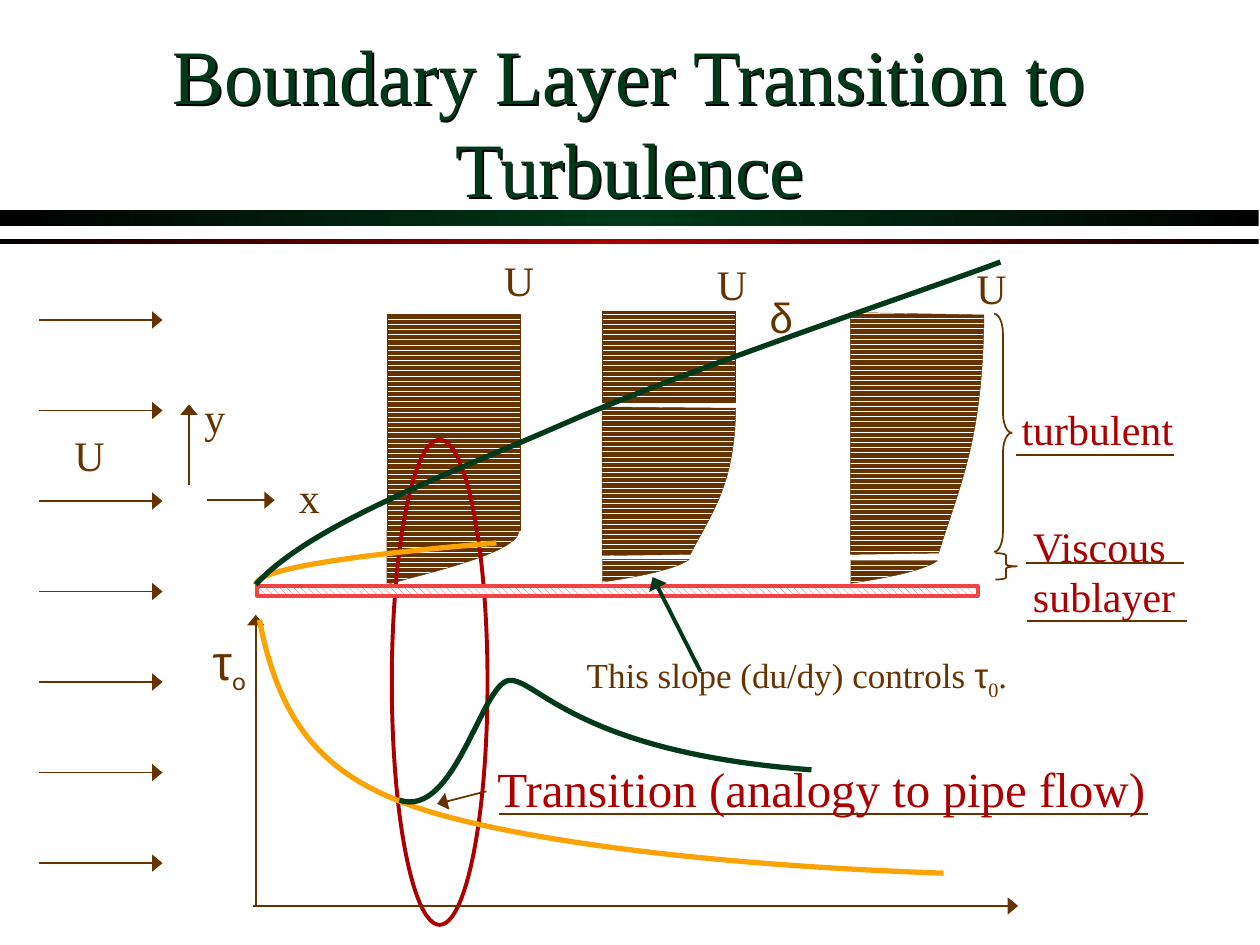
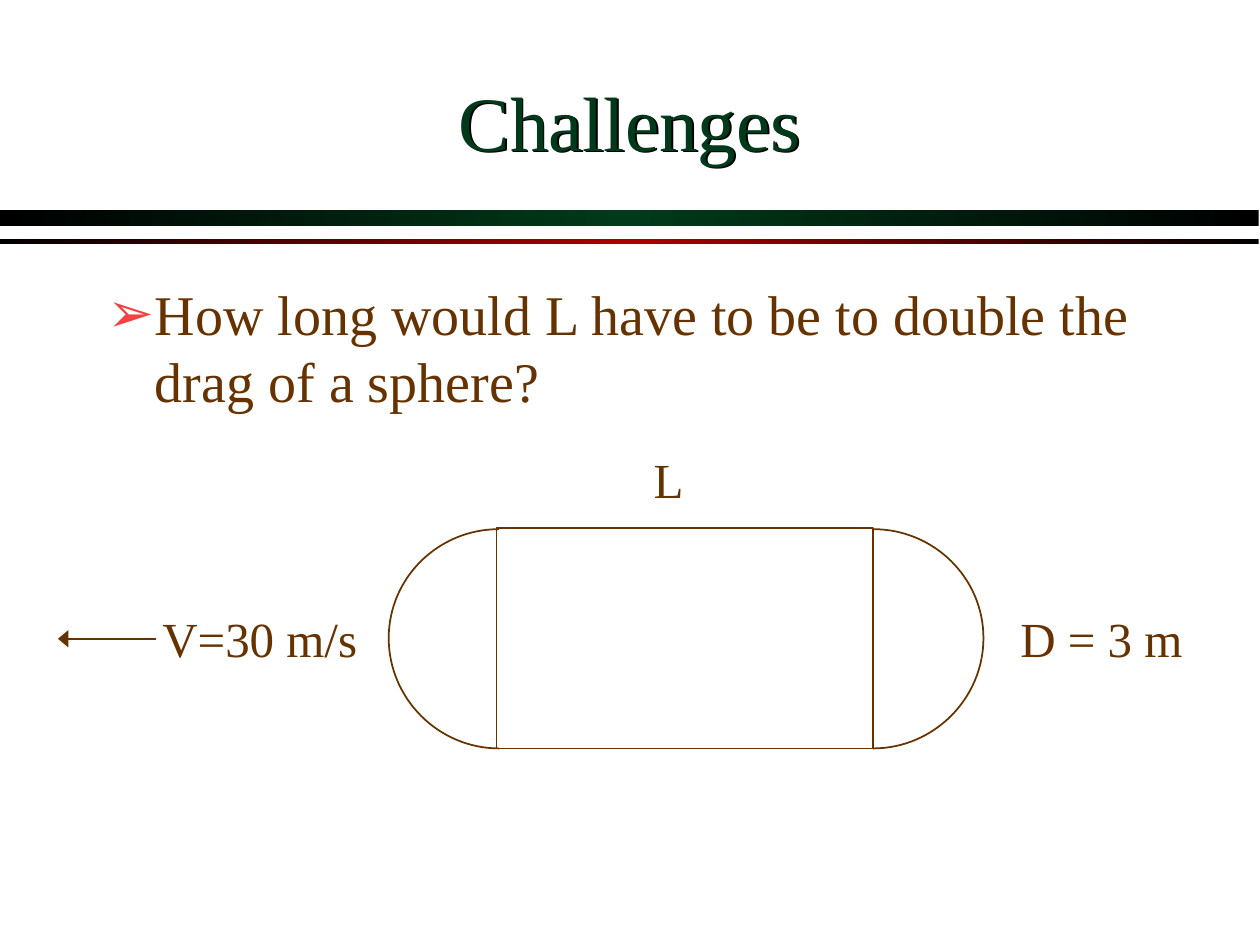
from dataclasses import dataclass
from typing import Any

from lxml.etree import SubElement
from pptx import Presentation
from pptx.dml.color import RGBColor
from pptx.enum.dml import MSO_PATTERN
from pptx.enum.shapes import MSO_CONNECTOR, MSO_SHAPE
from pptx.enum.text import MSO_ANCHOR, MSO_AUTO_SIZE, PP_ALIGN
from pptx.oxml import parse_xml
from pptx.oxml.ns import nsdecls, qn
from pptx.util import Inches, Pt

HUES = {
    "ink": "663300",
    "green": "003A1A",
    "red": "AC0000",
    "coral": "F14343",
    "amber": "FBA305",
    "black": "000000",
    "white": "FFFFFF",
}
SERIF, SANS, LATO = "Times New Roman", "Arial", "Lato"


def rgb(hue):
    return RGBColor.from_string(HUES[hue])


def stroke(line, hue, width):
    line.color.rgb = rgb(hue)
    line.width = Pt(width)


def hatch(shape, kind, hue):
    shape.fill.patterned()
    shape.fill.pattern = kind
    shape.fill.fore_color.rgb = rgb(hue)
    shape.fill.back_color.rgb = rgb("white")


def write(para, text, size, hue="ink", face=SERIF, sub=False):
    run = para.add_run()
    run.text = text
    run.font.size = Pt(size)
    run.font.name = face
    run.font.color.rgb = rgb(hue)
    if sub:
        run.font._element.set("baseline", "-25000")


@dataclass
class Pad:
    """A region of a slide; its parts are measured from its corner in inches."""
    slide: Any
    x: float
    y: float

    def spot(self, x, y):
        return Inches(self.x + x), Inches(self.y + y)

    def arrow(self, start, end, hue="ink", width=1, head=True):
        line = self.slide.shapes.add_connector(
            MSO_CONNECTOR.STRAIGHT, *self.spot(*start), *self.spot(*end))
        stroke(line.line, hue, width)
        if head:
            SubElement(line.line._get_or_add_ln(), qn("a:tailEnd"),
                       type="triangle", w="lg", len="med")
        SubElement(line._element.spPr, qn("a:effectLst"))

    def rule(self, x, y, width):
        self.arrow((x, y), (x + width, y), head=False)

    def shape(self, kind, x, y, w, h, hue="ink", width=1):
        shape = self.slide.shapes.add_shape(kind, *self.spot(x, y), Inches(w), Inches(h))
        shape.shadow.inherit = False
        shape.fill.background()
        stroke(shape.line, hue, width)
        return shape

    def brace(self, x, y, w, h, bend):
        shape = self.shape(MSO_SHAPE.RIGHT_BRACE, x, y, w, h)
        shape.adjustments[0] = bend

    def trace(self, start, *legs, hue="ink", width=1, close=False):
        """Outline whose legs are line ends (x, y) or Bézier curves of six numbers."""
        draft = self.slide.shapes.build_freeform(*self.spot(*start), scale=1.0)
        draft.add_line_segments([self.spot(*leg[-2:]) for leg in legs], close=close)
        shape = draft.convert_to_shape()
        for leg, edge in zip(legs, list(shape._element.iter(qn("a:lnTo")))):
            if len(leg) == 6:
                self.bend(shape, edge, leg)
        shape.shadow.inherit = False
        shape.fill.background()
        stroke(shape.line, hue, width)
        return shape

    def bend(self, shape, edge, leg):
        """Turn a straight edge of an outline into a curve."""
        curve = parse_xml(f'<a:cubicBezTo {nsdecls("a")}/>')
        for pair in zip(leg[::2], leg[1::2]):
            x, y = self.spot(*pair)
            SubElement(curve, qn("a:pt"), x=str(x - shape.left), y=str(y - shape.top))
        edge.getparent().replace(edge, curve)

    def label(self, x, y, w, h, *lines, size=24, hue="ink", face=SERIF,
              align=PP_ALIGN.CENTER):
        """Text box; each line is a string or a list of (text, size, face, sub)."""
        box = self.slide.shapes.add_textbox(*self.spot(x, y), Inches(w), Inches(h))
        frame = box.text_frame
        frame.word_wrap = False
        frame.auto_size = MSO_AUTO_SIZE.SHAPE_TO_FIT_TEXT
        frame.vertical_anchor = MSO_ANCHOR.MIDDLE
        for i, line in enumerate(lines):
            para = frame.add_paragraph() if i else frame.paragraphs[0]
            para.alignment = align
            runs = [(line, size, face, False)] if isinstance(line, str) else line
            for text, pts, font, sub in runs:
                write(para, text, pts, hue, font, sub)


def place(holder, x, y, w, h, anchor):
    holder.left, holder.top, holder.width, holder.height = map(Inches, (x, y, w, h))
    frame = holder.text_frame
    frame.auto_size = MSO_AUTO_SIZE.NONE
    frame.vertical_anchor = anchor
    return frame.paragraphs[0]


def title(slide, text):
    holder = slide.shapes.title
    para = place(holder, 0.75, 0.33, 8.5, 1.25, MSO_ANCHOR.MIDDLE)
    para.alignment = PP_ALIGN.CENTER
    write(para, text, 44, "green")
    holder.fill.background()
    holder._element.spPr.append(parse_xml(
        f'<a:effectLst {nsdecls("a")}><a:outerShdw dist="17961" dir="2700000">'
        f'<a:srgbClr val="{HUES["black"]}"/></a:outerShdw></a:effectLst>'))


def question(slide, text):
    para = place(slide.placeholders[1], 0.75, 2.17, 8.5, 4.5, MSO_ANCHOR.TOP)
    para.space_before = Pt(6.4)
    props = para._p.get_or_add_pPr()
    props.set("marL", str(Inches(0.38)))
    props.set("indent", str(-Inches(0.38)))
    tint = SubElement(props, qn("a:buClr"))
    SubElement(tint, qn("a:srgbClr"), val=HUES["coral"])
    SubElement(props, qn("a:buChar"), char="➢")
    write(para, text, 32)


def band(slide, y, h, hue):
    """Gradient band, moved to the master so that every slide shows it."""
    shape = Pad(slide, 0, y).shape(MSO_SHAPE.RECTANGLE, 0, 0, 9.99, h)
    shape.line.fill.background()
    stops = "".join(
        f'<a:gs pos="{pos}"><a:srgbClr val="{HUES[name]}"/></a:gs>'
        for pos, name in ((0, "black"), (50000, hue), (100000, "black")))
    grad = parse_xml(f'<a:gradFill {nsdecls("a")}><a:gsLst>{stops}</a:gsLst>'
                     '<a:lin ang="0" scaled="0"/></a:gradFill>')
    props = shape._element.spPr
    props.replace(props.find(qn("a:noFill")), grad)
    slide.slide_layout.slide_master.shapes._spTree.insert(2, shape._element)


def inflow(pad):
    for row in range(7):
        y = 4.31 * row / 6
        pad.arrow((0, y), (0.98, y))
    pad.label(0.18, 0.82, 0.44, 0.5, "U")


def compass(pad):
    pad.arrow((0.14, 0.76), (0.68, 0.76))
    pad.label(0.77, 0.48, 0.37, 0.5, "x")
    pad.arrow((0, 0.64), (0, 0))
    pad.label(0.02, -0.15, 0.37, 0.5, "y")


def stripe(shape):
    hatch(shape, MSO_PATTERN.DARK_HORIZONTAL, "ink")


def block(pad, h):
    stripe(pad.shape(MSO_SHAPE.RECTANGLE, 0, 0, 1.06, h, width=0.25))


def slab(pad, *legs):
    stripe(pad.trace(*legs, width=0.25, close=True))


def film(pad):
    """Thin viscous layer next to the plate."""
    slab(pad, (0, 1.97), (0, 2.15), (0.2, 2.12, 0.57, 2.06, 0.69, 1.97))


def laminar(pad):
    slab(pad, (0, 1.72), (0, 2.15), (0.31, 2.06, 1.05, 1.9, 1.05, 1.72))
    block(pad, 1.72)
    pad.label(0.83, -0.52, 0.44, 0.5, "U")


def mixed(pad):
    film(pad)
    block(pad, 0.72)
    pad.label(0.81, -0.47, 0.44, 0.5, "U")
    pad.label(1.23, -0.21, 0.38, 0.5, "δ", face=SANS)
    slab(pad, (0, 0.76), (0, 1.94), (0.7, 1.93), (0.88, 1.58, 1.05, 1.38, 1.06, 0.77))


def rough(pad):
    """Turbulent profile with its two named zones."""
    film(pad)
    slab(pad, (0, 0), (0, 1.92), (0.7, 1.91), (0.88, 1.34, 1.05, 1, 1.06, 0.02))
    pad.label(0.9, -0.45, 0.44, 0.5, "U")
    left = dict(hue="red", align=PP_ALIGN.LEFT)
    pad.label(1.26, 0.67, 1.4, 0.5, "turbulent", **left)
    pad.rule(1.31, 1.13, 1.26)
    pad.brace(1.14, 0.01, 0.14, 1.89, 1.13)
    pad.label(1.35, 1.6, 1.36, 0.9, "Viscous", "sublayer", **left)
    pad.rule(1.39, 1.99, 1.26)
    pad.brace(1.15, 1.91, 0.17, 0.21, 0.1)
    pad.rule(1.4, 2.45, 1.27)


def plate(pad):
    """Plate with both layer edges, which start at its tip."""
    bar = pad.shape(MSO_SHAPE.RECTANGLE, 0.01, 0.01, 5.72, 0.08, "coral", 2)
    hatch(bar, MSO_PATTERN.WIDE_DOWNWARD_DIAGONAL, "coral")
    pad.trace((0, 0), (0, -0.15, 1.18, -0.27, 1.91, -0.33), hue="amber", width=3)
    pad.trace((0, 0), (0.44, -0.48, 1.52, -0.87, 2.5, -1.3),
              (3.49, -1.73, 5.35, -2.35, 5.91, -2.56), hue="green", width=3)


def notes(pad):
    """Remarks on slope and transition, and the ring round the transition."""
    pad.label(1.44, 1.67, 3.55, 0.43, [
        ("This slope (du/dy) controls ", 20, SERIF, False), ("τ", 20, SANS, False),
        ("0", 20, SERIF, True), (".", 20, SERIF, False)])
    pad.rule(0.85, 2.97, 5.15)
    pad.label(0.74, 2.48, 5.36, 0.57, "Transition (analogy to pipe flow)",
              size=28, hue="red", align=PP_ALIGN.LEFT)
    pad.shape(MSO_SHAPE.OVAL, 0, 0, 0.76, 3.85, "red", 2.25)


def stress(pad):
    """Graph of wall stress along the plate."""
    pad.arrow((0, 2.31), (0, 0))
    pad.label(-0.44, 0.1, 0.46, 0.57, [("τ", 28, SANS, False), ("o", 24, LATO, True)])
    pad.trace((0.03, 0.04), (0.21, 0.98, 0.64, 1.38, 1.59, 1.62),
              (2.55, 1.86, 3.98, 2, 5.46, 2.05), hue="amber", width=3)
    pad.arrow((-0.02, 2.31), (6.05, 2.31))
    pad.trace((1.14, 1.47), (1.58, 1.62, 1.79, 0.55, 2.01, 0.52),
              (2.23, 0.5, 2.53, 1.09, 4.41, 1.23), hue="green", width=3)
    pad.arrow((1.83, 1.4), (1.44, 1.5))
    pad.arrow((3.53, 0.45), (3.15, -0.3), "green", 2.25)


def capsule(pad):
    """Cylinder of length L between two half spheres."""
    r, k = 0.875, 0.48
    for x, way in ((0.88, -1), (3.85, 1)):
        bow, tip = x + way * k, x + way * r
        pad.trace((x, 0.01), (bow, 0.01, tip, r - k, tip, r),
                  (tip, r + k, bow, 2 * r, x, 2 * r))
    pad.shape(MSO_SHAPE.RECTANGLE, 0.86, 0, 2.99, 1.75)
    left = dict(size=28, align=PP_ALIGN.LEFT)
    pad.label(2.01, -0.67, 0.44, 0.57, "L", **left)
    pad.label(-1.89, 0.59, 1.75, 0.57, "V=30 m/s", **left)
    pad.arrow((-1.84, 0.88), (-2.62, 0.88))
    pad.label(4.92, 0.59, 1.49, 0.57, "D = 3 m", **left)


def main():
    deck = Presentation()
    deck.slide_width, deck.slide_height = Inches(10), Inches(7.5)

    flow = deck.slides.add_slide(deck.slide_layouts[5])
    band(flow, 1.67, 0.12, "green")
    band(flow, 1.9, 0.04, "red")
    title(flow, "Boundary Layer Transition to Turbulence")
    for draw, x, y in ((inflow, 0.31, 2.54), (compass, 1.5, 3.21),
                       (laminar, 3.07, 2.49), (mixed, 4.78, 2.47),
                       (rough, 6.75, 2.48), (notes, 3.11, 3.49),
                       (plate, 2.03, 4.64), (stress, 2.03, 4.88)):
        draw(Pad(flow, x, y))

    quiz = deck.slides.add_slide(deck.slide_layouts[1])
    title(quiz, "Challenges")
    question(quiz, "How long would L have to be to double the drag of a sphere?")
    capsule(Pad(quiz, 3.08, 4.19))

    deck.save("out.pptx")


if __name__ == "__main__":
    main()
